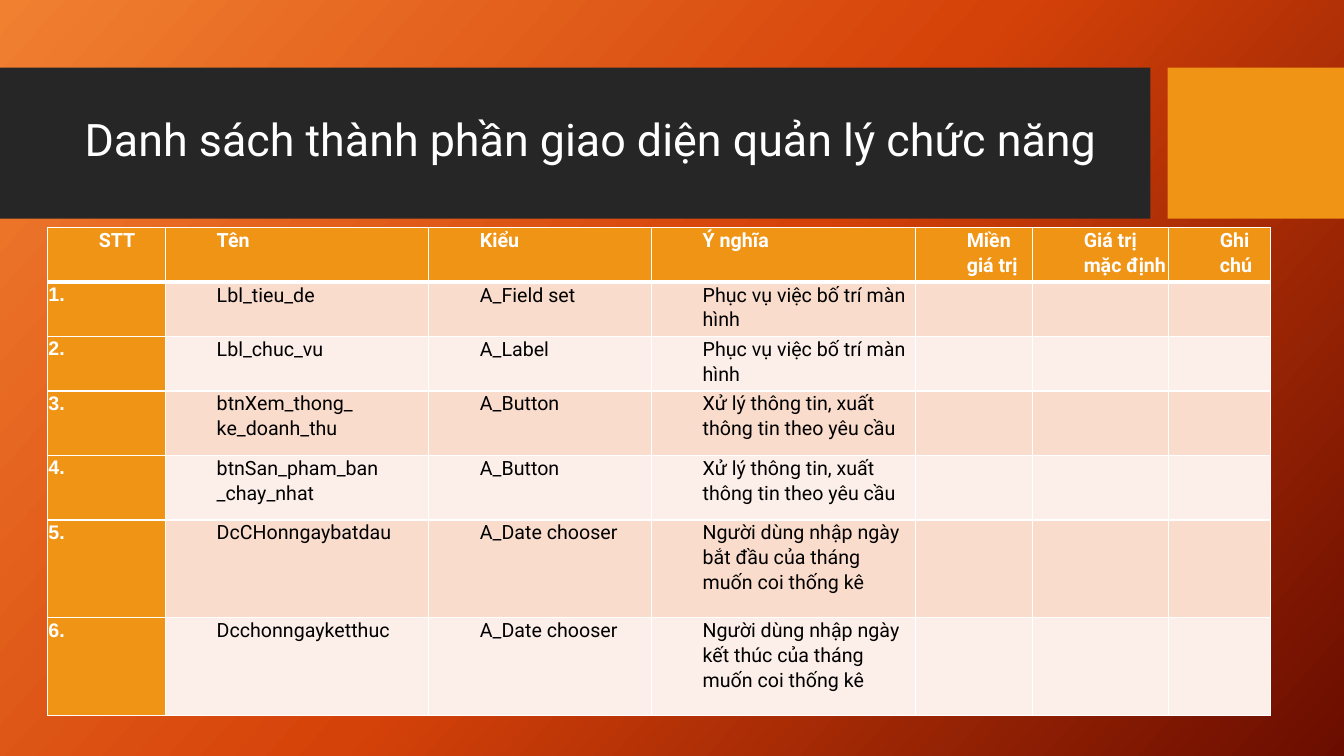
from lxml.etree import SubElement as Sub
from pptx import Presentation
from pptx.dml.color import RGBColor as Rgb
from pptx.enum.shapes import MSO_SHAPE as Shape
from pptx.enum.text import MSO_ANCHOR as Anchor
from pptx.oxml.ns import qn
from pptx.util import Inches, Pt

HUES = {
    "white": "FFFFFF", "black": "000000", "dark": "262626", "gold": "F09415",
    "peach": "F9DCCC", "pale": "FCEEE8",
    "light": "F18031", "mid": "D54209", "deep": "6A0D00",
}
HEADS = ["STT", "Tên", "Kiểu", "Ý nghĩa", "Miền giá trị", "Giá trị mặc định", "Ghi chú"]
LAYOUT = "Phục vụ việc bố trí màn hình"
QUERY = "Xử lý thông tin, xuất thông tin theo yêu cầu"
PARTS = [
    ("Lbl_tieu_de", "A_Field set", LAYOUT),
    ("Lbl_chuc_vu", "A_Label", LAYOUT),
    ("btnXem_thong_\nke_doanh_thu", "A_Button", QUERY),
    ("btnSan_pham_ban\n_chay_nhat", "A_Button", QUERY),
    ("DcCHonngaybatdau", "A_Date chooser",
     "Người dùng nhập ngày bắt đầu của tháng muốn coi thống kê"),
    ("Dcchonngayketthuc", "A_Date chooser",
     "Người dùng nhập ngày kết thúc của tháng muốn coi thống kê"),
]
WIDTHS = [1.17, 2.61, 2.21, 2.62, 1.16, 1.35, 1.01]
HEIGHTS = [0.54, 0.54, 0.54, 0.64, 0.64, 0.97, 0.97]


class Deck:
    def __init__(self, slide):
        self.slide = slide
        self.face = "Roboto"

    def hue(self, name):
        return Rgb.from_string(HUES[name])

    def paint(self, item, name):
        item.fill.solid()
        item.fill.fore_color.rgb = self.hue(name)

    def style(self, para, size, name, bold=False, face=None, lead=1.07):
        para.line_spacing = lead
        font = para.font
        font.name, font.size, font.bold = face or self.face, Pt(size), bold
        font.color.rgb = self.hue(name)

    def backdrop(self, stops, angle):
        fill = self.slide.background.fill
        fill.gradient()
        fill.gradient_angle = angle
        ramp = next(self.slide.element.iter(qn("a:gsLst")))
        for old in list(ramp):
            ramp.remove(old)
        for place, name in stops:
            stop = Sub(ramp, qn("a:gs"), pos=str(place * 1000))
            Sub(stop, qn("a:srgbClr"), val=HUES[name])

    def block(self, left, top, width, height, name):
        box = self.slide.shapes.add_shape(
            Shape.RECTANGLE, Inches(left), Inches(top), Inches(width), Inches(height))
        box.shadow.inherit = False
        self.paint(box, name)
        box.line.fill.background()

    def title(self, left, top, width, height, text):
        box = self.slide.shapes.add_textbox(
            Inches(left), Inches(top), Inches(width), Inches(height))
        frame = box.text_frame
        frame.word_wrap = True
        frame.vertical_anchor = Anchor.MIDDLE
        frame.text = text
        self.style(frame.paragraphs[0], 32, "white", lead=0.9)

    def edge(self, cell, sides):
        props = cell._tc.get_or_add_tcPr()
        for spot, (side, width) in enumerate(sides.items()):
            line = Sub(props, qn("a:ln" + side), w=str(Pt(width)))
            fill = Sub(line, qn("a:solidFill"))
            Sub(fill, qn("a:srgbClr"), val=HUES["white"])
            props.insert(spot, line)

    def cell(self, cell, text, row, col):
        head = row == 0
        lead = head or col == 0
        self.paint(cell, "gold" if lead else "peach" if row % 2 else "pale")
        self.edge(cell, {"L": 1, "R": 1, "T": 3 if row == 1 else 1, "B": 3 if head else 1})
        cell.margin_left = cell.margin_right = Inches(0.01)
        cell.margin_top = cell.margin_bottom = 0
        cell.text = text
        face = "Roboto" if head or col else "Arial"
        for para in cell.text_frame.paragraphs:
            if head or col:
                para._p.get_or_add_pPr().set("marL", str(Inches(0.5)))
            self.style(para, 14, "white" if lead else "black", lead, face)

    def table(self, left, top, rows):
        grid = self.slide.shapes.add_table(
            len(rows), len(WIDTHS), Inches(left), Inches(top),
            Inches(sum(WIDTHS)), Inches(sum(HEIGHTS))).table
        for col, width in zip(grid.columns, WIDTHS):
            col.width = Inches(width)
        for row, height in zip(grid.rows, HEIGHTS):
            row.height = Inches(height)
        for row, texts in enumerate(rows):
            for col, text in enumerate(texts):
                self.cell(grid.cell(row, col), text, row, col)


def main():
    show = Presentation()
    show.slide_width, show.slide_height = Inches(13.33), Inches(7.5)
    deck = Deck(show.slides.add_slide(show.slide_layouts[6]))
    deck.backdrop([(0, "light"), (50, "mid"), (100, "deep")], 360 - 42)
    deck.block(0, 0.67, 11.41, 1.5, "dark")
    deck.block(11.58, 0.67, 1.75, 1.5, "gold")
    deck.title(0.74, 0.82, 10.51, 1.18, "Danh sách thành phần giao diện quản lý chức năng")
    rows = [[f"{num}.", *part, "", "", ""] for num, part in enumerate(PARTS, 1)]
    deck.table(0.47, 2.26, [HEADS, *rows])
    show.save("out.pptx")


if __name__ == "__main__":
    main()
